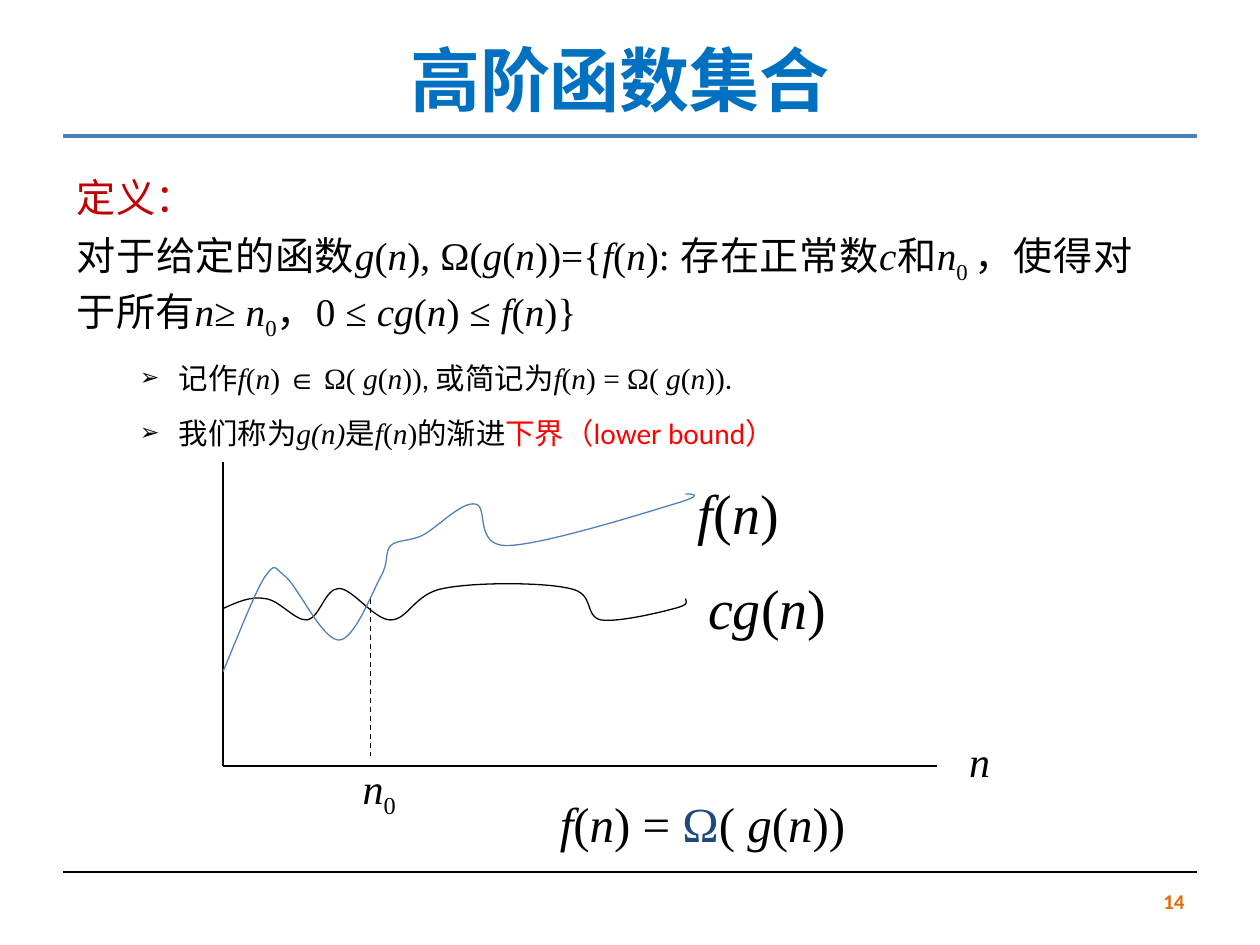
"""Builds a slide defining the asymptotic lower bound with a sketch of two functions."""
from lxml.etree import SubElement
from pptx import Presentation
from pptx.dml.color import RGBColor
from pptx.enum.dml import MSO_LINE_DASH_STYLE as Dash
from pptx.enum.shapes import MSO_CONNECTOR_TYPE as Connector
from pptx.enum.text import MSO_ANCHOR as Anchor, MSO_AUTO_SIZE as AutoSize, PP_ALIGN as Align
from pptx.oxml.ns import qn
from pptx.util import Inches, Pt

COLORS = {"black": "000000", "title": "0070C0", "rule": "4B7EBC", "curve": "4F81BD",
          "heading": "C00000", "alert": "FF0000", "omega": "1F497D", "number": "E46C0A"}
CJK, SANS, SERIF = "Noto Sans CJK SC", "Calibri", "Times New Roman"
STYLES = {
    "title": (CJK, "title", True), "heading": (SANS, "heading", False),
    "text": (SANS, "black", False), "math": (SERIF, "black", False),
    "alert": (SANS, "alert", False), "omega": (SERIF, "omega", False),
    "number": (SANS, "number", True),
}

TITLE = [("高阶函数集合", "title")]
DEFINITION = [
    [("定义：", "heading")],
    [("对于给定的函数", "text"),
     ("*g*(*n*), Ω(*g*(*n*))={*f*(*n*): 存在正常数*c*和*n*_0 _，使得对于所有"
      "*n*≥ *n*_0_，0 ≤ *cg*(*n*) ≤ *f*(*n*)}", "math")],
]
NOTES = [
    [("记作", "text"), ("*f*(*n*) ∈ Ω( *g*(*n*))", "math"), (", 或简记为", "text"),
     ("*f*(*n*) = Ω( *g*(*n*))", "math"), (".", "text")],
    [("我们称为", "text"), ("*g(n)*", "math"), ("是", "text"), ("*f*(*n*)", "math"),
     ("的渐进", "text"), ("下界（lower bound）", "alert")],
]
LABELS = [
    ((4.33, 6.25, 2.49, 0.57), 28,
     [("*f*(*n*) = ", "math"), ("Ω", "omega"), ("( *g*(*n*))", "math")]),
    ((7.59, 5.79, 0.37, 0.5), 24, [("*n*", "math")]),
    ((2.77, 6, 0.48, 0.5), 24, [("*n*_0_", "math")]),
    ((5.52, 4.5, 1.14, 0.63), 32, [("*cg*(*n*)", "math")]),
    ((5.44, 3.75, 0.84, 0.63), 32, [("*f*(*n*)", "math")]),
]
ORIGIN = (1.77, 6.08)
LINES = [
    ((0.5, 1.08), (9.5, 1.08), "rule", 2.75, None),
    ((0.5, 6.92), (9.5, 6.92), "black", 0.75, None),
    ((1.77, 3.67), ORIGIN, "black", 0.75, None),
    (ORIGIN, (7.44, 6.08), "black", 0.75, None),
    ((2.94, 4.75), (2.94, 6), "black", 0.75, Dash.DASH),
]
CURVES = {
    "black": [
        (1.77, 4.83), (1.88, 4.78), (1.99, 4.73), (2.1, 4.75), (2.22, 4.76), (2.34, 4.93),
        (2.44, 4.92), (2.54, 4.9), (2.58, 4.67), (2.69, 4.67), (2.8, 4.67), (2.97, 4.92),
        (3.1, 4.92), (3.24, 4.92), (3.29, 4.71), (3.52, 4.67), (3.76, 4.62), (4.31, 4.62),
        (4.52, 4.67), (4.73, 4.71), (4.63, 4.89), (4.77, 4.92), (4.91, 4.94), (5.24, 4.86),
        (5.35, 4.83), (5.47, 4.8), (5.45, 4.78), (5.44, 4.75)],
    "curve": [
        (1.77, 5.33), (1.9, 5.02), (2.02, 4.71), (2.1, 4.58), (2.19, 4.46), (2.17, 4.5),
        (2.27, 4.58), (2.37, 4.67), (2.56, 5.08), (2.69, 5.08), (2.81, 5.08), (2.95, 4.71),
        (3.02, 4.58), (3.09, 4.46), (3.05, 4.39), (3.1, 4.33), (3.16, 4.28), (3.24, 4.3),
        (3.35, 4.25), (3.47, 4.19), (3.66, 3.98), (3.77, 4), (3.88, 4.01), (3.76, 4.33),
        (4.02, 4.33), (4.29, 4.33), (5.12, 4.07), (5.35, 4), (5.59, 3.93), (5.51, 3.92),
        (5.44, 3.92)],
}


def color(name):
    return RGBColor.from_string(COLORS[name])


def assign(target, **values):
    for name, value in values.items():
        setattr(target, name, value)


def place(shape, frame):
    sides = zip(("left", "top", "width", "height"), map(Inches, frame))
    assign(shape, **dict(sides))


def write(para, pieces, size):
    """Adds runs; asterisks switch italics and underscores switch subscript."""
    for text, style in pieces:
        face, tint, bold = STYLES[style]
        for low, part in enumerate(text.split("_")):
            for slanted, words in enumerate(part.split("*")):
                if not words:
                    continue
                span = para.add_run()
                span.text = words
                assign(span.font, name=face, size=Pt(size), bold=bold,
                       italic=slanted % 2 == 1)
                span.font.color.rgb = color(tint)
                properties = span.font._element
                SubElement(properties, qn("a:ea"), typeface=CJK)
                if low % 2:
                    properties.set("baseline", "-25000")


def set_bullet(para, mark=None):
    properties = para._p.get_or_add_pPr()
    properties.set("marL", str(Inches(0.81 if mark else 0)))
    properties.set("indent", str(Inches(-0.31 if mark else 0)))
    if mark:
        SubElement(properties, qn("a:buSzPct"), val="80000")
        SubElement(properties, qn("a:buFont"), typeface="Arial")
        SubElement(properties, qn("a:buChar"), char=mark)
    else:
        SubElement(properties, qn("a:buNone"))


def fill_body(body):
    place(body, (0.51, 1.31, 8.58, 2.33))
    frame = body.text_frame
    assign(frame, auto_size=AutoSize.NONE, word_wrap=True, vertical_anchor=Anchor.TOP)
    rows = [(pieces, 0, 22.4, 1.05, 4.5, None) for pieces in DEFINITION]
    rows += [(pieces, 1, 16.8, 1.3, 5, "➢") for pieces in NOTES]
    for index, (pieces, level, size, spacing, gap, mark) in enumerate(rows):
        para = frame.add_paragraph() if index else frame.paragraphs[0]
        set_bullet(para, mark)
        assign(para, level=level, alignment=Align.JUSTIFY, line_spacing=spacing,
               space_before=Pt(gap if index else 0))
        write(para, pieces, size)


def add_text(page, frame, size, pieces, align=Align.CENTER, **layout):
    box = page.shapes.add_textbox(*map(Inches, frame))
    assign(box.text_frame, **layout)
    para = box.text_frame.paragraphs[0]
    para.alignment = align
    write(para, pieces, size)


def add_line(page, start, end, tint, width, dash):
    line = page.shapes.add_connector(Connector.STRAIGHT, *map(Inches, start + end))
    line.line.color.rgb = color(tint)
    assign(line.line, width=Pt(width), dash_style=dash)
    SubElement(line._element.spPr, qn("a:effectLst"))


def add_curve(page, knots, tint):
    """Draws a chain of cubic curves, three points for each after the start."""
    start, *rest = [tuple(map(Inches, knot)) for knot in knots]
    builder = page.shapes.build_freeform(*start)
    builder.add_line_segments(rest, close=False)
    curve = builder.convert_to_shape()
    outline = next(curve._element.iter(qn("a:path")))
    segments = outline.findall(qn("a:lnTo"))
    for first in range(0, len(segments), 3):
        cubic = SubElement(outline, qn("a:cubicBezTo"))
        for segment in segments[first:first + 3]:
            cubic.append(segment[0])
            outline.remove(segment)
    curve.shadow.inherit = False
    curve.fill.background()
    curve.line.color.rgb = color(tint)
    curve.line.width = Pt(0.75)


def main():
    deck = Presentation()
    assign(deck, slide_width=Inches(10), slide_height=Inches(7.5))
    page = deck.slides.add_slide(deck.slide_layouts[1])
    title, body = page.placeholders
    place(title, (0.42, 0.05, 9, 1.14))
    assign(title.text_frame, vertical_anchor=Anchor.MIDDLE, auto_size=AutoSize.NONE)
    title.text_frame.paragraphs[0].alignment = Align.CENTER
    write(title.text_frame.paragraphs[0], TITLE, 40)
    fill_body(body)
    for line in LINES:
        add_line(page, *line)
    for tint, knots in CURVES.items():
        add_curve(page, knots, tint)
    for frame, size, pieces in LABELS:
        add_text(page, frame, size, pieces, word_wrap=False,
                 auto_size=AutoSize.SHAPE_TO_FIT_TEXT)
    add_text(page, (7.17, 6.95, 2.33, 0.4), 12, [("14", "number")], Align.RIGHT,
             word_wrap=True, vertical_anchor=Anchor.MIDDLE)
    deck.save("out.pptx")


if __name__ == "__main__":
    main()
